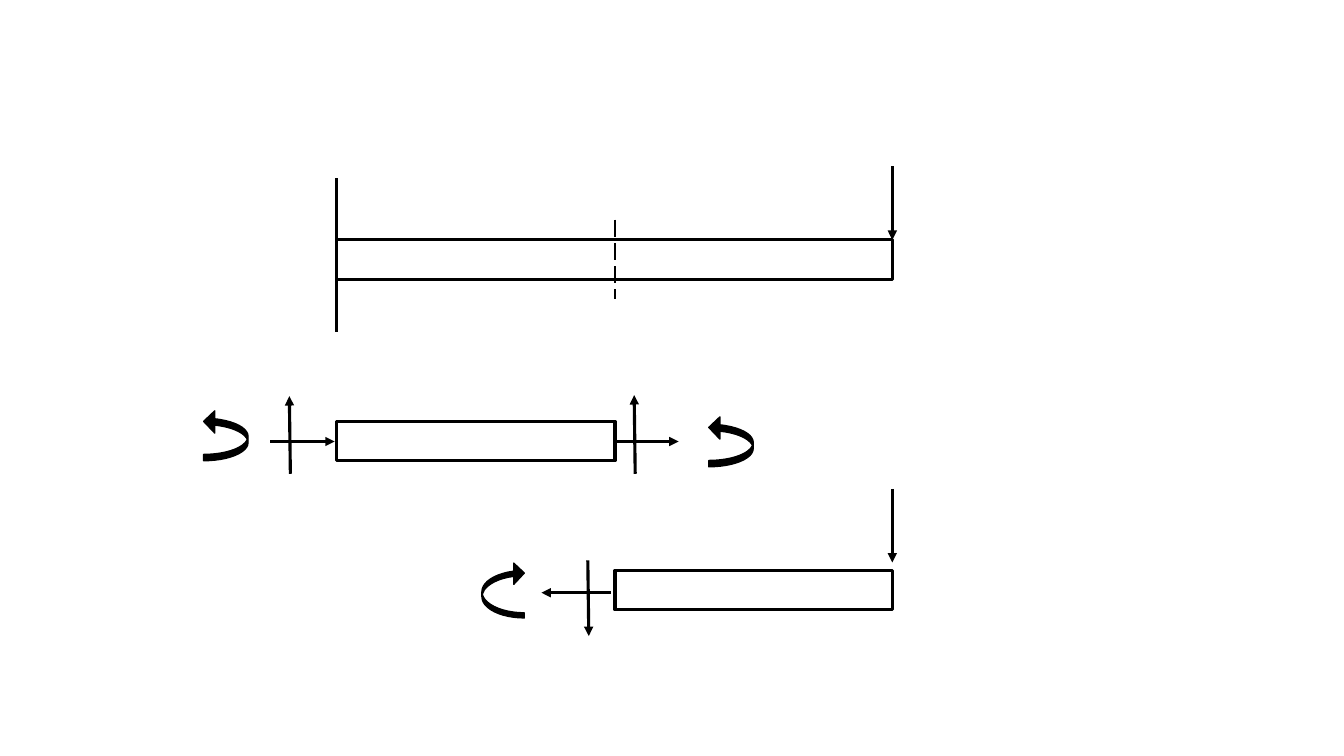
from dataclasses import dataclass

import lxml.etree
import pptx
import pptx.dml.color
import pptx.enum.dml
import pptx.enum.shapes
import pptx.oxml.ns
import pptx.util

SLIDE_WIDTH = pptx.util.Inches(13.33)
SLIDE_HEIGHT = pptx.util.Inches(7.5)
COLUMNS, ROWS = 133.3, 75
INK = "000000"
WALL, CUT, TIP = 33.4, 61, 88.5
BEAM_DEPTH = 3.9
LOAD_LENGTH = 7.3
LEFT_AXIS, RIGHT_AXIS = 43.8, 58.8
Preset = pptx.enum.shapes.MSO_SHAPE


@dataclass(frozen=True)
class Beam:
    start: float
    end: float
    top: float


@dataclass(frozen=True)
class Stroke:
    start: tuple[float, float]
    end: tuple[float, float]
    weight: float = 2.25
    arrow: bool = True
    dashed: bool = False


@dataclass(frozen=True)
class Moment:
    preset: Preset
    left: float
    top: float
    width: float
    height: float
    thickness: float


def column(count: float) -> int:
    return round(SLIDE_WIDTH * count / COLUMNS)


def row(count: float) -> int:
    return round(SLIDE_HEIGHT * count / ROWS)


def color(code: str) -> pptx.dml.color.RGBColor:
    return pptx.dml.color.RGBColor.from_string(code)


def set_line(line, weight: float) -> None:
    line.color.rgb = color(INK)
    line.width = pptx.util.Pt(weight)


def draw_beam(slide, beam: Beam) -> None:
    body = slide.shapes.add_shape(
        Preset.RECTANGLE, column(beam.start), row(beam.top),
        column(beam.end - beam.start), row(BEAM_DEPTH))
    body.shadow.inherit = False
    body.fill.background()
    set_line(body.line, 2.25)


def draw_stroke(slide, stroke: Stroke) -> None:
    connector = slide.shapes.add_connector(
        pptx.enum.shapes.MSO_CONNECTOR.STRAIGHT,
        column(stroke.start[0]), row(stroke.start[1]),
        column(stroke.end[0]), row(stroke.end[1]))
    set_line(connector.line, stroke.weight)
    if stroke.dashed:
        connector.line.dash_style = pptx.enum.dml.MSO_LINE.LONG_DASH
    properties = connector._element.spPr
    if stroke.arrow:
        outline = properties.find(pptx.oxml.ns.qn("a:ln"))
        lxml.etree.SubElement(outline, pptx.oxml.ns.qn("a:tailEnd"), type="triangle")
    lxml.etree.SubElement(properties, pptx.oxml.ns.qn("a:effectLst"))


def draw_moment(slide, moment: Moment) -> None:
    curl = slide.shapes.add_shape(
        moment.preset, column(moment.left), row(moment.top),
        column(moment.width), row(moment.height))
    curl.rotation = 180
    for index, share in enumerate((moment.thickness, 0.5, 0.25)):
        curl.adjustments[index] = share
    curl.shadow.inherit = False
    curl.fill.solid()
    curl.fill.fore_color.rgb = color(INK)
    set_line(curl.line, 1)


def tip_load(top: float) -> Stroke:
    return Stroke((TIP, top), (TIP, top + LOAD_LENGTH))


BEAMS = [
    Beam(WALL, TIP, 23.8),
    Beam(WALL, CUT, 41.8),
    Beam(CUT, TIP, 56.6),
]

STROKES = [
    Stroke((CUT, 21.8), (CUT, 29.7), weight=1.5, arrow=False, dashed=True),
    Stroke((WALL, 17.7), (WALL, 32.9), arrow=False),
    tip_load(16.5),
    tip_load(48.5),
    Stroke((26.8, LEFT_AXIS), (33.2, LEFT_AXIS)),
    Stroke((28.8, 47), (28.7, 39.3)),
    Stroke((CUT, LEFT_AXIS), (67.3, LEFT_AXIS)),
    Stroke((63, 47), (62.9, 39.2)),
    Stroke((60.6, RIGHT_AXIS), (53.7, RIGHT_AXIS)),
    Stroke((58.3, 55.6), (58.4, 63.1)),
]

MOMENTS = [
    Moment(Preset.CURVED_RIGHT_ARROW, 20.2, 40.7, 4.4, 5, 0.141),
    Moment(Preset.CURVED_RIGHT_ARROW, 70.3, 41.3, 4.4, 5, 0.141),
    Moment(Preset.CURVED_LEFT_ARROW, 47.8, 55.8, 4.2, 5.5, 0.121),
]


def main() -> None:
    deck = pptx.Presentation()
    deck.slide_width = SLIDE_WIDTH
    deck.slide_height = SLIDE_HEIGHT
    slide = deck.slides.add_slide(deck.slide_layouts[6])
    for beam in BEAMS:
        draw_beam(slide, beam)
    for stroke in STROKES:
        draw_stroke(slide, stroke)
    for moment in MOMENTS:
        draw_moment(slide, moment)
    deck.save("out.pptx")


if __name__ == "__main__":
    main()
